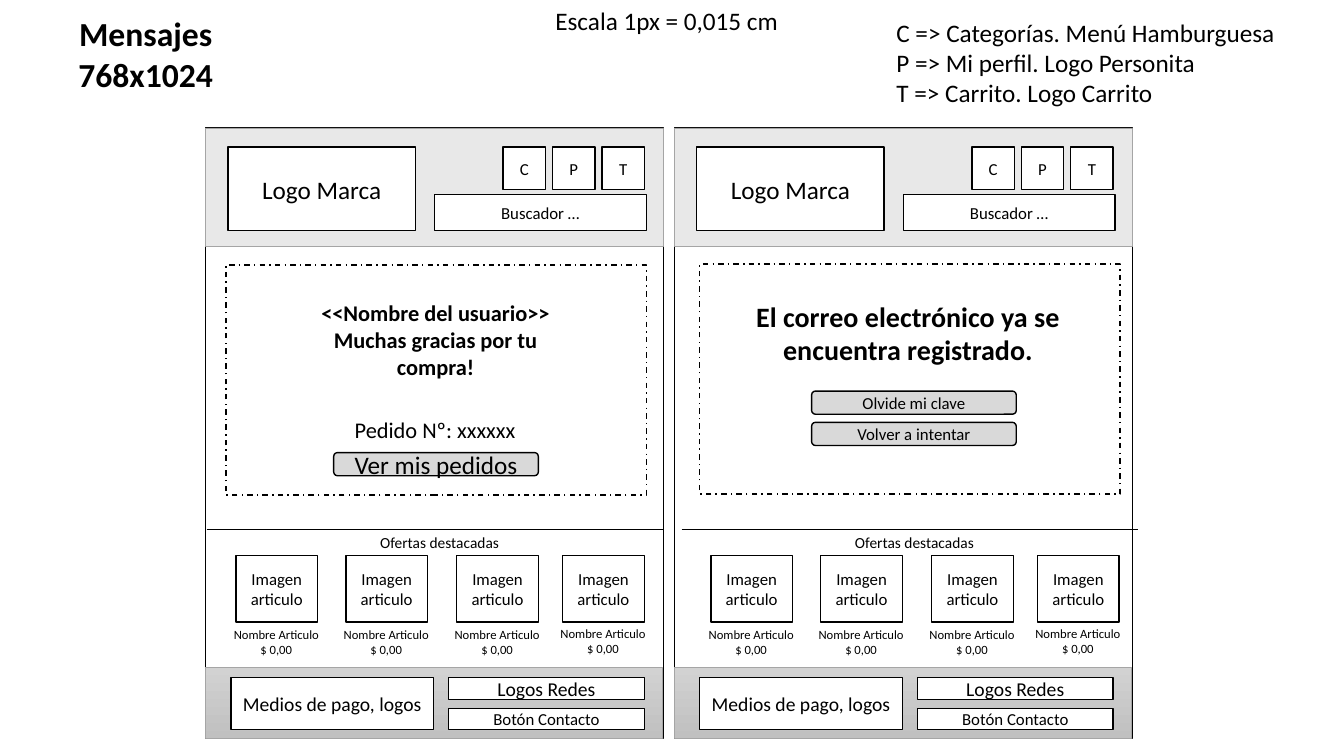
from lxml import etree
from pptx import Presentation
from pptx.dml.color import RGBColor
from pptx.enum.dml import MSO_LINE
from pptx.enum.shapes import MSO_CONNECTOR, MSO_SHAPE
from pptx.enum.text import MSO_ANCHOR, MSO_AUTO_SIZE, PP_ALIGN
from pptx.oxml.ns import qn
from pptx.util import Pt

RECT, ROUND = MSO_SHAPE.RECTANGLE, MSO_SHAPE.ROUNDED_RECTANGLE
STRAIGHT = MSO_CONNECTOR.STRAIGHT
DASH_DOT = MSO_LINE.DASH_DOT
TOP, MIDDLE = MSO_ANCHOR.TOP, MSO_ANCHOR.MIDDLE
LEFT, CENTER = PP_ALIGN.LEFT, PP_ALIGN.CENTER
GROW = MSO_AUTO_SIZE.SHAPE_TO_FIT_TEXT

PX = 9144
FONT = "Calibri"
COLORS = {
    "ink": "000000",
    "paper": "FFFFFF",
    "button": "D9D9D9",
    "edge": "A5A5A5",
    "footer_top": "D2D2D2",
    "footer_bottom": "C0C0C0",
}


def rgb(name):
    return RGBColor.from_string(COLORS[name])


class Wireframe:
    def __init__(self, prs):
        self.s = prs.slides.add_slide(prs.slide_layouts[1])

    def set_text(self, sp, text, size, bold=False, align=CENTER, anchor=MIDDLE):
        tf = sp.text_frame
        tf.text = text
        tf.word_wrap = True
        tf.vertical_anchor = anchor
        for p in tf.paragraphs:
            p.alignment = align
            for r in p.runs:
                r.font.name = FONT
                r.font.size = Pt(size)
                r.font.bold = bold
                r.font.color.rgb = rgb("ink")

    def box(self, x, y, w, h, text="", size=12, kind=RECT, fill="paper",
            line="ink", weight=1):
        sp = self.s.shapes.add_shape(kind, x * PX, y * PX, w * PX, h * PX)
        sp.shadow.inherit = False
        sp.fill.solid()
        sp.fill.fore_color.rgb = rgb(fill)
        sp.line.color.rgb = rgb(line)
        sp.line.width = Pt(weight)
        if text:
            self.set_text(sp, text, size)
        return sp

    def button(self, x, y, text, size=12):
        self.box(x, y, 203, 23, text, size, kind=ROUND, fill="button")

    def dashed_box(self, x, y, w, h):
        self.box(x, y, w, h).line.dash_style = DASH_DOT

    def header_band(self, x, y, w, h):
        sp = self.box(x, y, w, h, fill="button", line="edge", weight=0.5)
        color = next(sp._element.spPr.iter(qn("a:srgbClr")))
        etree.SubElement(color, qn("a:alpha")).set("val", "58000")

    def footer_band(self, x, y, w, h):
        sp = self.box(x, y, w, h, line="edge", weight=0.5)
        sp.fill.gradient()
        sp.fill.gradient_angle = 270
        for stop, name in zip(sp.fill.gradient_stops, ("footer_top", "footer_bottom")):
            stop.color.rgb = rgb(name)

    def label(self, x, y, w, h, text, size, bold=False, align=CENTER, wrap=True):
        sp = self.s.shapes.add_textbox(x * PX, y * PX, w * PX, h * PX)
        self.set_text(sp, text, size, bold, align, TOP)
        sp.text_frame.word_wrap = wrap
        sp.text_frame.auto_size = GROW

    def placeholder(self, idx, x, y, w, h, text, size, bold, align):
        sp = self.s.placeholders[idx]
        sp.left, sp.top, sp.width, sp.height = x * PX, y * PX, w * PX, h * PX
        self.set_text(sp, text, size, bold, align, TOP)
        sp.text_frame.word_wrap = False
        sp.text_frame.auto_size = GROW
        for p in sp.text_frame.paragraphs:
            p.space_before = Pt(0)
            pPr = p._p.get_or_add_pPr()
            pPr.set("marL", "0")
            pPr.set("indent", "0")
            etree.SubElement(pPr, qn("a:buNone"))

    def rule(self, x1, x2, y):
        c = self.s.shapes.add_connector(STRAIGHT, x1 * PX, y * PX, x2 * PX, y * PX)
        c.line.color.rgb = rgb("ink")
        c.line.width = Pt(0.5)
        etree.SubElement(c._element.spPr, qn("a:effectLst"))

    def screen(self, x):
        self.box(x, 127, 454, 605)
        self.footer_band(x, 662, 453, 71)
        self.header_band(x, 127, 454, 117)
        self.box(x + 22, 146, 186, 83, "Logo Marca", 18)
        for i, letter in enumerate("CPT"):
            self.box(x + 295 + 49 * i, 146, 42, 42, letter)
        self.box(x + 227, 193, 210, 36, "Buscador …")
        self.box(x + 25, 672, 201, 52, "Medios de pago, logos", 14)
        self.box(x + 241, 672, 194, 22, "Logos Redes", 14)
        self.box(x + 241, 703, 194, 21, "Botón Contacto")

    def offers(self, x):
        self.label(x + 24, 524, 414, 29, "Ofertas destacadas", 11)
        self.rule(x, x + 453, 525)
        for dx, y in ((29, 617), (138, 617), (248, 617), (353, 616)):
            self.box(x + dx, 551, 81, 66, "Imagen articulo")
            self.label(x + dx - 14, y, 108, 22, "Nombre Articulo\n$ 0,00", 9)


def main():
    prs = Presentation()
    prs.slide_width, prs.slide_height = 1333 * PX, 750 * PX
    w = Wireframe(prs)

    w.placeholder(0, 67, 8, 155, 91, "Mensajes\n768x1024", 24, True, CENTER)
    w.placeholder(1, 879, 12, 400, 101,
                  "C => Categorías. Menú Hamburguesa\n"
                  "P => Mi perfil. Logo Personita\n"
                  "T => Carrito. Logo Carrito", 18, False, LEFT)
    w.label(541, 0, 243, 40, "Escala 1px = 0,015 cm", 18, align=LEFT, wrap=False)

    for screen_x, offers_x in ((204, 205), (669, 676)):
        w.screen(screen_x)
        w.offers(offers_x)

    w.dashed_box(224, 263, 417, 228)
    w.label(284, 292, 296, 91,
            "<<Nombre del usuario>>\nMuchas gracias por tu compra!", 16, bold=True)
    w.label(330, 408, 203, 37, "Pedido Nº: xxxxxx", 16)
    w.button(331, 449, "Ver mis pedidos", 18)

    w.dashed_box(694, 262, 417, 228)
    w.label(718, 292, 365, 77,
            "El correo electrónico ya se encuentra registrado.", 20, bold=True)
    for i, text in enumerate(("Olvide mi clave", "Volver a intentar")):
        w.button(805, 388 + 31 * i, text)

    prs.save("out.pptx")


if __name__ == "__main__":
    main()
